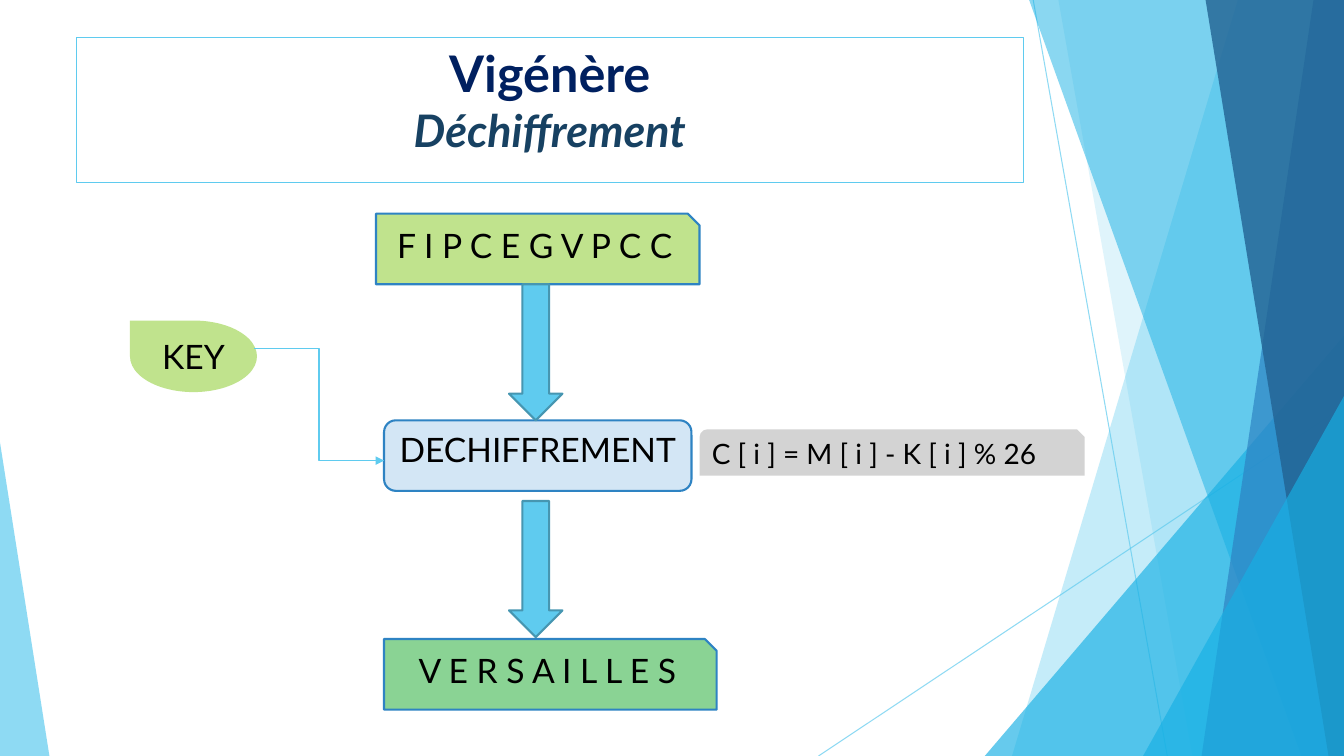
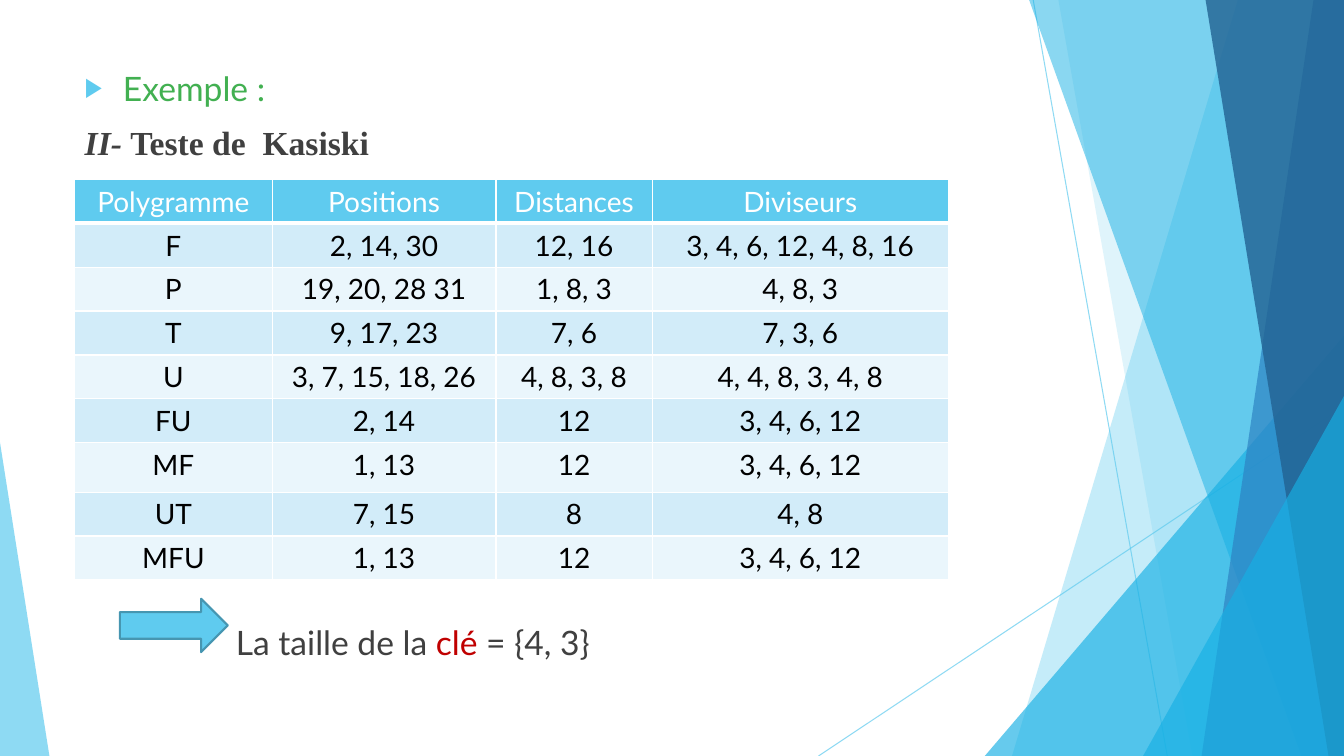
import dataclasses
import pptx
import pptx.dml.color
import pptx.enum.shapes
import pptx.enum.text
import pptx.oxml
import pptx.oxml.ns
import pptx.util

SHAPE = pptx.enum.shapes.MSO_SHAPE
CONNECTOR = pptx.enum.shapes.MSO_CONNECTOR
ALIGN = pptx.enum.text.PP_ALIGN
ANCHOR = pptx.enum.text.MSO_ANCHOR
qn = pptx.oxml.ns.qn
Pt = pptx.util.Pt

CELL = pptx.util.Inches(0.1)  # the slide is a grid of square cells
COLS, ROWS = 133.33, 75


@dataclasses.dataclass(frozen=True)
class Theme:
    font: str = "Lato"
    serif: str = "Times New Roman"
    sky: str = "5FCBEF"
    cyan: str = "17B0E4"
    blue: str = "2E83C3"
    deep: str = "226292"
    arrow_edge: str = "4696B1"
    navy: str = "002060"
    slate: str = "174162"
    lime: str = "C0E38D"
    mint: str = "8AD394"
    pale: str = "D3E6F5"
    grey: str = "D3D3D3"
    green: str = "42B051"
    red: str = "C00000"
    body: str = "404040"
    black: str = "000000"
    white: str = "FFFFFF"
    band_odd: str = "D2ECF9"
    band_even: str = "EAF6FC"
    title: int = 36
    subtitle: int = 32
    text: int = 24
    small: int = 20


T = Theme()


@dataclasses.dataclass(frozen=True)
class Box:
    left: float
    top: float
    width: float
    height: float

    def inner(self, left, top, width, height):
        return Box(self.left + left, self.top + top, width, height)

    def point(self, x, y):
        return cells(self.left + x), cells(self.top + y)

    def emu(self):
        return [cells(v) for v in (self.left, self.top, self.width, self.height)]


SLIDE = Box(0, 0, COLS, ROWS)


# Formatting helpers
def cells(count):
    return int(round(count * CELL))


def rgb(color):
    return pptx.dml.color.RGBColor.from_string(color)


def xml(parent, tag, **attrs):
    el = parent.makeelement(qn(tag), attrs)
    parent.append(el)
    return el


def set_alpha(sp, percent):
    for color in sp.element.spPr.iter(qn("a:srgbClr")):
        xml(color, "a:alpha", val=str(percent * 1000))


def style_shape(sp, fill, line=None, width=1.5):
    sp.shadow.inherit = False
    sp.fill.solid()
    sp.fill.fore_color.rgb = rgb(fill)
    if line:
        sp.line.color.rgb = rgb(line)
        sp.line.width = Pt(width)
    else:
        sp.line.fill.background()
    return sp


def style_font(font, size, color, name=T.font, bold=False, italic=False):
    font.name, font.size = name, Pt(size)
    font.bold, font.italic = bold, italic
    font.color.rgb = rgb(color)


def add_run(p, text, size, color, **style):
    r = p.add_run()
    r.text = text
    style_font(r.font, size, color, **style)


def add_line(shapes, kind, start, end, width):
    cn = shapes.add_connector(kind, *start, *end)
    cn.line.color.rgb = rgb(T.sky)
    cn.line.width = Pt(width)
    xml(cn.element.spPr, "a:effectLst")
    return cn


def add_block(slide, kind, box, fill, line=None, text="", size=T.text, align=ALIGN.CENTER):
    sp = style_shape(slide.shapes.add_shape(kind, *box.emu()), fill, line)
    if text:
        tf = sp.text_frame
        tf.text = text
        tf.word_wrap = True
        tf.vertical_anchor = ANCHOR.TOP
        p = tf.paragraphs[0]
        p.alignment = align
        style_font(p.runs[0].font, size, T.black)
    return sp


def place(ph, box):
    ph.left, ph.top, ph.width, ph.height = box.emu()
    tf = ph.text_frame
    tf.word_wrap = True
    tf.auto_size = pptx.enum.text.MSO_AUTO_SIZE.NONE
    tf.vertical_anchor = ANCHOR.TOP
    return tf


# Shared backdrop, drawn once and moved to the slide master
def add_backdrop(prs, slide, box):
    group = slide.shapes.add_group_shape()
    shapes = group.shapes

    def facet(top_x, bottom_x, color, alpha):
        corners = [(top_x, 0), (box.width, 0), (box.width, box.height), (bottom_x, box.height)]
        points = [box.point(*c) for c in corners]
        builder = shapes.build_freeform(*points[0])
        builder.add_line_segments(points[1:], close=True)
        set_alpha(style_shape(builder.convert_to_shape(), color), alpha)

    def wedge(left, width, height, apex, color, alpha):
        corner = box.inner(left, box.height - height, width, height)
        sp = shapes.add_shape(SHAPE.ISOSCELES_TRIANGLE, *corner.emu())
        sp.adjustments[0] = apex
        set_alpha(style_shape(sp, color), alpha)

    for start, end in (((102.5, 0), (115.8, ROWS)), ((COLS, 40.3), (81.2, ROWS))):
        set_alpha(add_line(shapes, CONNECTOR.STRAIGHT, box.point(*start), box.point(*end), 0.75), 70)
    facet(122.8, 100.4, T.sky, 36)
    facet(105, 118.3, T.sky, 20)
    wedge(97.7, 35.63, 41.7, 1, T.cyan, 66)
    facet(102.1, 129.1, T.cyan, 50)
    facet(130.3, 119.2, T.blue, 70)
    facet(119.6, 131.8, T.deep, 80)
    wedge(113.4, 19.93, 35.7, 1, T.cyan, 66)
    wedge(0, 4.9, 31.1, 0, T.sky, 70)

    for number, el in enumerate(group.element.iter(qn("p:cNvPr")), 100):
        el.set("id", str(number))
    prs.slide_master.shapes.element.insert(2, group.element)


# Slide 1: framed title and deciphering flow
def add_title(slide, box, title, subtitle):
    ph = slide.shapes.title
    tf = place(ph, box)
    ph.line.color.rgb = rgb(T.sky)
    ph.line.width = Pt(0.75)
    add_run(tf.paragraphs[0], title, T.title, T.navy, bold=True)
    add_run(tf.add_paragraph(), subtitle, T.subtitle, T.slate, bold=True, italic=True)
    for p in tf.paragraphs:
        p.alignment = ALIGN.CENTER


def add_flow(slide, box):
    add_block(slide, SHAPE.SNIP_1_RECTANGLE, box.inner(24.4, 0, 32.1, 7),
              T.lime, T.blue, "F I P C E G V P C C")
    key = add_block(slide, SHAPE.TEAR, box.inner(0, 10.6, 12.6, 7.1), T.lime, text="KEY")
    key.element.spPr.find(qn("a:xfrm")).set("flipH", "1")
    add_block(slide, SHAPE.ROUNDED_RECTANGLE, box.inner(25.2, 20.5, 30.5, 7),
              T.pale, T.blue, "DECHIFFREMENT")
    add_block(slide, SHAPE.SNIP_1_RECTANGLE, box.inner(25.2, 42.2, 33, 7),
              T.mint, T.blue, "V E R S A I L L E S")
    for top in (7, 28.5):
        add_block(slide, SHAPE.DOWN_ARROW, box.inner(37.6, top, 5.3, 13.5), T.sky, T.arrow_edge)
    link = add_line(slide.shapes, CONNECTOR.ELBOW, box.point(12.3, 13.4), box.point(25.2, 24.5), 1)
    xml(link.element.spPr.find(qn("a:ln")), "a:tailEnd", type="triangle")
    add_block(slide, SHAPE.SNIP_ROUND_RECTANGLE, box.inner(56.5, 21.4, 38.2, 4.6),
              T.grey, text="C [ i ] = M [ i ] - K [ i ] % 26", size=T.small, align=ALIGN.LEFT)


# Slide 2: text around a table
def set_indent(p, left, first=0, bullet=None):
    pPr = p._p.get_or_add_pPr()
    pPr.set("marL", str(cells(left)))
    pPr.set("indent", str(cells(first)))
    if bullet:
        xml(xml(pPr, "a:buClr"), "a:srgbClr", val=T.sky)
        xml(pPr, "a:buSzPct", val="80000")
        xml(pPr, "a:buChar", char=bullet)
    else:
        xml(pPr, "a:buNone")


def add_body(slide, box):
    tf = place(slide.placeholders[1], box)
    example, heading, result = tf.paragraphs[0], tf.add_paragraph(), tf.add_paragraph()
    set_indent(example, 3.8, -3.8, "▶")
    set_indent(heading, 0)
    set_indent(result, 15)
    for p, gap in ((example, 0), (heading, 10), (result, 328)):  # the table fills the last gap
        p.space_before = Pt(gap)
    add_run(example, "Exemple :", T.text, T.green)
    add_run(heading, "II- ", T.text, T.body, name=T.serif, bold=True, italic=True)
    add_run(heading, "Teste de  Kasiski", T.text, T.body, name=T.serif, bold=True)
    for text, color in (("La taille de la ", T.body), ("clé", T.red), (" = {4, 3}", T.body)):
        add_run(result, text, T.text, color)


def style_cell(cell, text, fill, color, bottom):
    tcPr = cell._tc.get_or_add_tcPr()
    for side, width in (("L", 1), ("R", 1), ("T", 1), ("B", bottom)):
        ln = xml(tcPr, "a:ln" + side, w=str(int(Pt(width))))
        xml(xml(ln, "a:solidFill"), "a:srgbClr", val=T.white)
    cell.fill.solid()
    cell.fill.fore_color.rgb = rgb(fill)
    cell.text_frame.text = text
    p = cell.text_frame.paragraphs[0]
    p.alignment = ALIGN.CENTER
    style_font(p.runs[0].font, T.small, color)


def add_polygram_table(slide, box, rows, col_widths, row_heights):
    table = slide.shapes.add_table(len(rows), len(col_widths), *box.emu()).table
    for col, width in zip(table.columns, col_widths):
        col.width = cells(width)
    for i, (row, height, texts) in enumerate(zip(table.rows, row_heights, rows)):
        row.height = cells(height)
        if i == 0:
            fill, color, bottom = T.sky, T.white, 3
        else:
            fill, color, bottom = (T.band_odd if i % 2 else T.band_even), T.black, 1
        for cell, text in zip(row.cells, texts):
            style_cell(cell, text, fill, color, bottom)


POLYGRAMS = [
    ("Polygramme", "Positions", "Distances", "Diviseurs"),
    ("F", "2, 14, 30", "12, 16", "3, 4, 6, 12, 4, 8, 16"),
    ("P", "19, 20, 28 31", "1, 8, 3", "4, 8, 3"),
    ("T", "9, 17, 23", "7, 6", "7, 3, 6"),
    ("U", "3, 7, 15, 18, 26", "4, 8, 3, 8", "4, 4, 8, 3, 4, 8"),
    ("FU", "2, 14", "12", "3, 4, 6, 12"),
    ("MF", "1, 13", "12", "3, 4, 6, 12"),
    ("UT", "7, 15", "8", "4, 8"),
    ("MFU", "1, 13", "12", "3, 4, 6, 12"),
]


def build_decipher_slide(slide, box):
    add_title(slide, box.inner(7.6, 3.7, 93.9, 14.4), "Vigénère", "Déchiffrement")
    add_flow(slide, box.inner(12.9, 21.2, 94.7, 49.2))


def build_kasiski_slide(slide, box):
    title = slide.shapes.title.element
    title.getparent().remove(title)
    add_body(slide, box.inner(7.4, 6.2, 94, 65.8))
    heights = [4.9 if row[0] == "MF" else 4.35 for row in POLYGRAMS]
    add_polygram_table(slide, box.inner(7.4, 17.8, 86.7, sum(heights)), POLYGRAMS,
                       (19.6, 22.2, 15.5, 29.4), heights)
    add_block(slide, SHAPE.RIGHT_ARROW, box.inner(11.9, 59.4, 10.7, 5.3), T.sky, T.arrow_edge)


def main():
    prs = pptx.Presentation()
    prs.slide_width, prs.slide_height = cells(COLS), cells(ROWS)
    decipher = prs.slides.add_slide(prs.slide_layouts[5])
    add_backdrop(prs, decipher, SLIDE)
    build_decipher_slide(decipher, SLIDE)
    build_kasiski_slide(prs.slides.add_slide(prs.slide_layouts[1]), SLIDE)
    prs.save("out.pptx")


if __name__ == "__main__":
    main()
